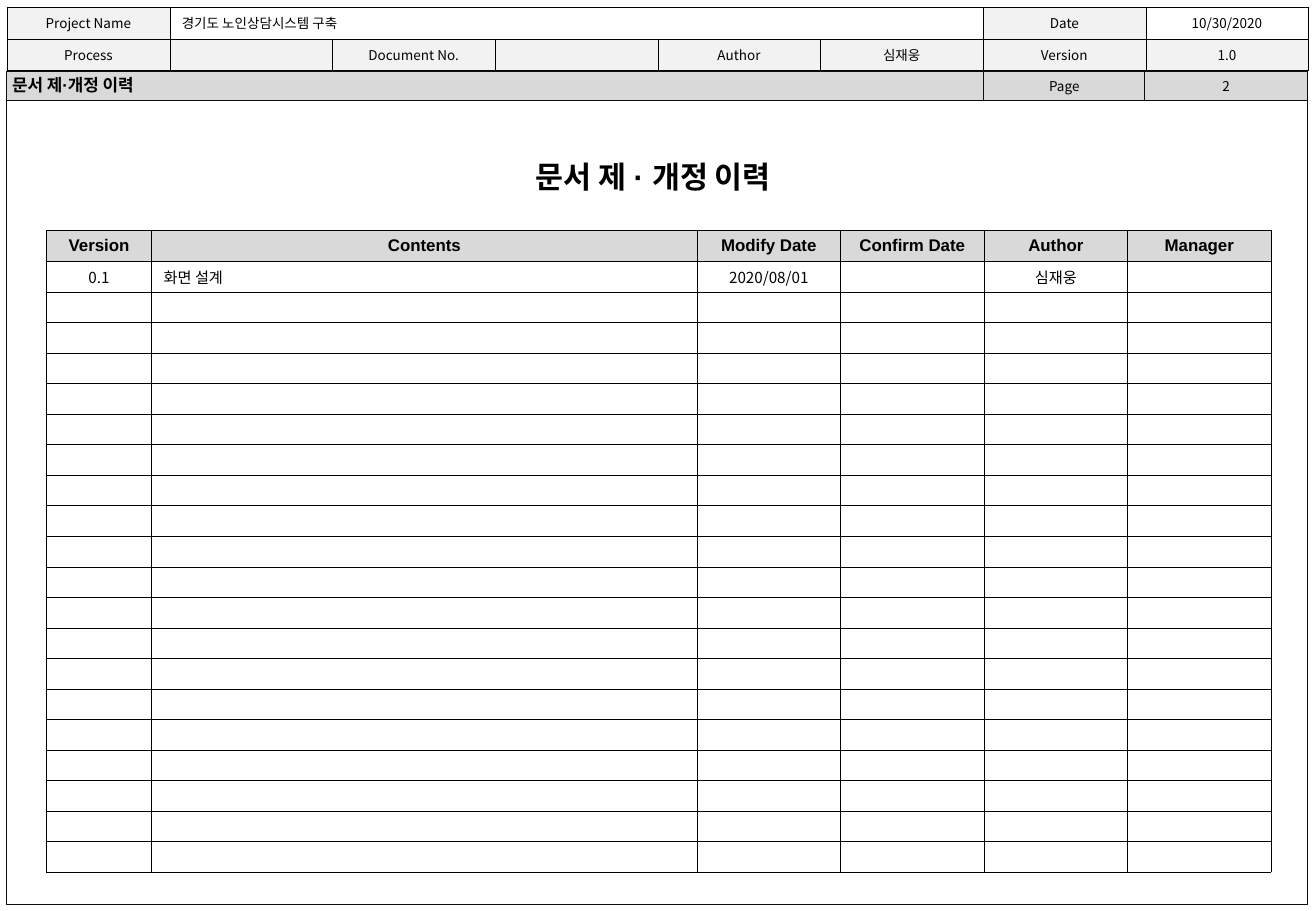
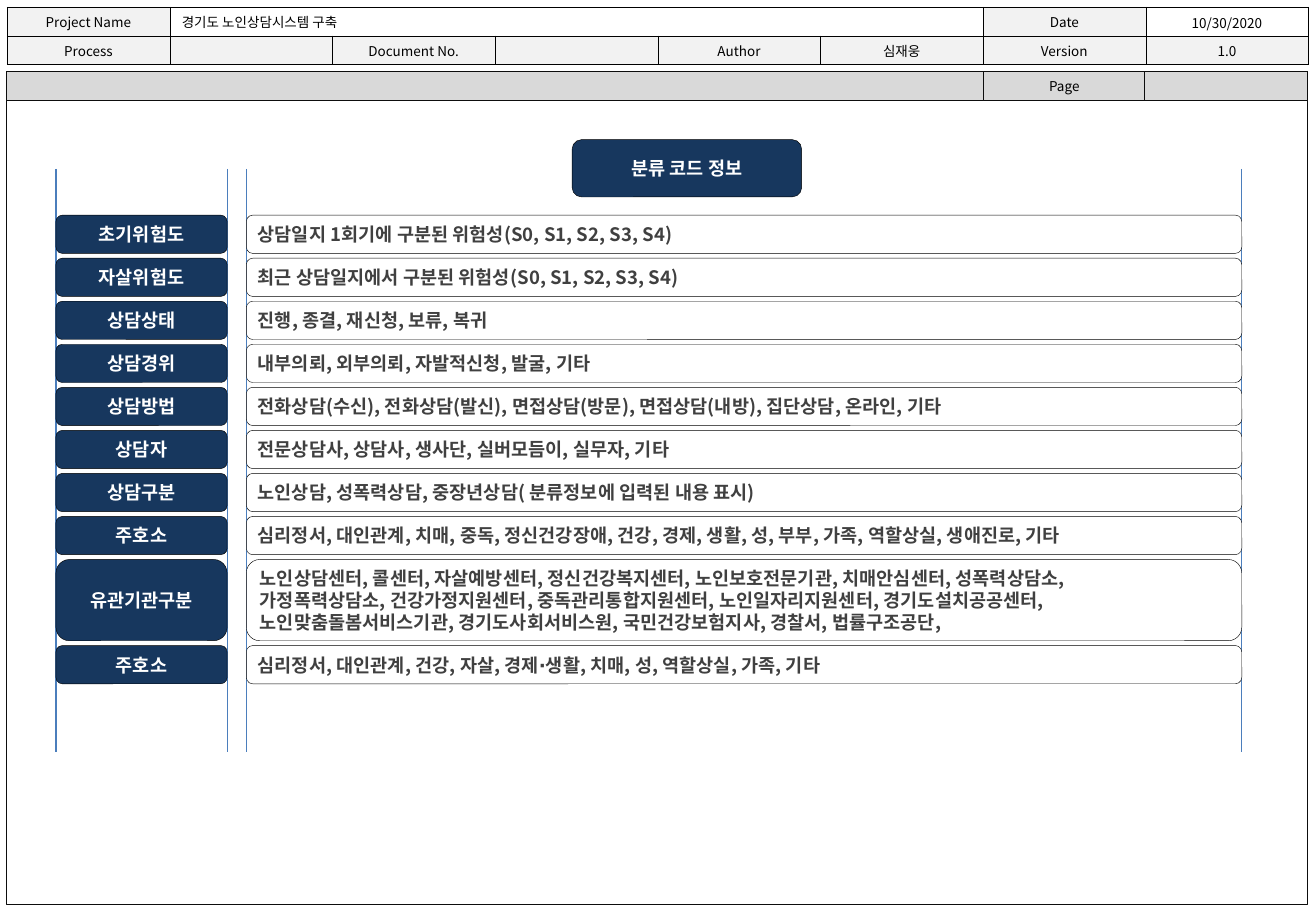
from lxml import etree
from pptx import Presentation
from pptx.dml.color import RGBColor
from pptx.enum.shapes import MSO_CONNECTOR, MSO_SHAPE
from pptx.enum.text import MSO_ANCHOR, PP_ALIGN
from pptx.oxml.ns import qn
from pptx.util import Cm, Pt

LEFT, MID = PP_ALIGN.LEFT, PP_ALIGN.CENTER
CORE = MSO_ANCHOR.MIDDLE
RECT, ROUND = MSO_SHAPE.RECTANGLE, MSO_SHAPE.ROUNDED_RECTANGLE
LINE = MSO_CONNECTOR.STRAIGHT
NOTO, ARIAL = "Noto Sans CJK KR", "Arial"
THIN = Pt(0.25)
HUES = {
    "black": "000000", "frame": "0D0D0D", "band": "D9D9D9", "pale": "F2F2F2",
    "navy": "17375E", "white": "FFFFFF", "text": "404040", "rule": "4B7EBC",
}
RGB = {name: RGBColor.from_string(code) for name, code in HUES.items()}


def ink(frame, text, size, align=MID, face=NOTO, bold=False, hue="black"):
    frame.text = text
    frame.word_wrap = True
    for para in frame.paragraphs:
        para.alignment = align
        if not para.runs:
            etree.SubElement(para._p, qn("a:endParaRPr"), sz=str(size * 100))
        for run in para.runs:
            font = run.font
            font.size, font.name, font.bold = Pt(size), face, bold
            font.color.rgb = RGB[hue]
            etree.SubElement(run._r.get_or_add_rPr(), qn("a:ea"), typeface=NOTO)


def grid(page, left, top, wides, highs, rows, size, shade, head=False):
    table = page.shapes.add_table(
        len(highs), len(wides), Cm(left), Cm(top), sum(wides), sum(highs)).table
    table.first_row = table.horz_banding = False
    for col, wide in zip(table.columns, wides):
        col.width = wide
    for r, high in enumerate(highs):
        table.rows[r].height = high
        for c in range(len(wides)):
            cell = table.cell(r, c)
            text = rows[r][c] if r < len(rows) else ""
            top_row = head and r == 0
            align = LEFT if c == 1 and not top_row else MID
            ink(cell.text_frame, text, size + top_row, align,
                ARIAL if top_row else NOTO, top_row)
            cell.vertical_anchor = CORE
            cell.margin_left = cell.margin_right = Cm(0.25)
            cell.margin_top = cell.margin_bottom = 0
            props = cell._tc.get_or_add_tcPr()
            for side in ("lnL", "lnR", "lnT", "lnB"):
                edge = etree.SubElement(props, qn("a:" + side), w=str(THIN))
                paint = etree.SubElement(edge, qn("a:solidFill"))
                etree.SubElement(paint, qn("a:srgbClr"), val=HUES["black"])
            if (r, c) in shade:
                cell.fill.solid()
                cell.fill.fore_color.rgb = RGB[shade[r, c]]
            else:
                cell.fill.background()
    return table


deck = Presentation()
deck.slide_width, deck.slide_height = Cm(27.51), Cm(19.05)
first = deck.slides.add_slide(deck.slide_layouts[5])
second = deck.slides.add_slide(deck.slide_layouts[6])

info = [
    ["Project Name", "경기도 노인상담시스템 구축", "", "", "", "", "Date", ""],
    ["Process", "", "Document No.", "", "Author", "심재웅", "Version", "1.0"],
]
tint = {(1, c): "pale" for c in range(8)}
tint.update({(0, 0): "pale", (0, 6): "pale"})
bars = [
    (0.13, 27.2, 17.4, None, ""),
    (0.13, 27.2, 0.6, "band", ""),
    (20.55, 3.4, 0.6, "band", "Page"),
    (23.93, 3.4, 0.6, "band", ""),
]
for page, high in ((first, 0.66), (second, 0.6)):
    for left, wide, tall, hue, text in bars:
        bar = page.shapes.add_shape(RECT, Cm(left), Cm(1.5), Cm(wide), Cm(tall))
        bar.shadow.inherit = False
        bar.line.color.rgb, bar.line.width = RGB["frame"], THIN
        if hue:
            bar.fill.solid()
            bar.fill.fore_color.rgb = RGB[hue]
        else:
            bar.fill.background()
        if text:
            ink(bar.text_frame, text, 8)
            bar.text_frame.vertical_anchor = CORE
    table = grid(page, 0.15, 0.15, [Cm(3.4)] * 8, [Cm(high)] * 2, info, 8, tint)
    table.cell(0, 1).merge(table.cell(0, 5))

labels = [
    (first, 23.95, 0.18, 3.4, 0.6, "10/30/2020", 8, NOTO),
    (second, 23.95, 0.18, 3.4, 0.6, "10/30/2020", 8, NOTO),
    (first, 23.93, 1.5, 3.4, 0.6, "2", 8, NOTO),
    (first, 3.86, 2.8, 19.6, 1.27, "문서 제 · 개정 이력", 18, ARIAL),
]
for page, left, top, wide, tall, text, size, face in labels:
    note = page.shapes.add_textbox(Cm(left), Cm(top), Cm(wide), Cm(tall))
    ink(note.text_frame, text, size, face=face, bold=face == ARIAL)
    if face == ARIAL:
        note.text_frame.paragraphs[0].line_spacing = 1.5
    else:
        note.text_frame.vertical_anchor = CORE

title = first.shapes.title
title.left, title.top, title.width, title.height = Cm(0), Cm(1.58), Cm(24.76), Cm(0.4)
ink(title.text_frame, "문서 제·개정 이력", 10, LEFT, ARIAL, True)
title.text_frame.vertical_anchor = CORE
title.text_frame.margin_top = title.text_frame.margin_bottom = 0
first.shapes._spTree.append(title.element)

log = [
    ["Version", "Contents", "Modify Date", "Confirm Date", "Author", "Manager"],
    ["0.1", "화면 설계", "2020/08/01", "", "심재웅", ""],
]
grid(first, 0.97, 4.81, [Cm(2.2), Cm(11.4)] + [Cm(3)] * 4,
     [Cm(0.66)] + [Cm(12.76) // 20] * 20, log, 9,
     {(0, c): "band" for c in range(6)}, True)

for x in (1.17, 4.75, 5.15, 25.96):
    rule = second.shapes.add_connector(LINE, Cm(x), Cm(3.53), Cm(x), Cm(15.72))
    rule.line.color.rgb, rule.line.width = RGB["rule"], Pt(0.75)
    etree.SubElement(rule._element.spPr, qn("a:effectLst"))

codes = [
    ("초기위험도", "상담일지 1회기에 구분된 위험성(S0, S1, S2, S3, S4)"),
    ("자살위험도", "최근 상담일지에서 구분된 위험성(S0, S1, S2, S3, S4)"),
    ("상담상태", "진행, 종결, 재신청, 보류, 복귀"),
    ("상담경위", "내부의뢰, 외부의뢰, 자발적신청, 발굴, 기타"),
    ("상담방법", "전화상담(수신), 전화상담(발신), 면접상담(방문), 면접상담(내방), 집단상담, 온라인, 기타"),
    ("상담자", "전문상담사, 상담사, 생사단, 실버모듬이, 실무자, 기타"),
    ("상담구분", "노인상담, 성폭력상담, 중장년상담( 분류정보에 입력된 내용 표시)"),
    ("주호소", "심리정서, 대인관계, 치매, 중독, 정신건강장애, 건강, 경제, 생활, 성, 부부, 가족, 역할상실, 생애진로, 기타"),
    ("유관기관구분",
     "노인상담센터, 콜센터, 자살예방센터, 정신건강복지센터, 노인보호전문기관, 치매안심센터, 성폭력상담소,\n"
     "가정폭력상담소, 건강가정지원센터, 중독관리통합지원센터, 노인일자리지원센터, 경기도설치공공센터,\n"
     "노인맞춤돌봄서비스기관, 경기도사회서비스원, 국민건강보험지사, 경찰서, 법률구조공단,"),
    ("주호소", "심리정서, 대인관계, 건강, 자살, 경제∙생활, 치매, 성, 역할상실, 가족, 기타"),
]
boxes = [(11.96, 2.92, 4.8, 1.2, "분류 코드 정보", "navy")]
top = 4.5
for name, text in codes:
    tall = 1.7 if "\n" in text else 0.8
    boxes.append((1.17, top, 3.58, tall, name, "navy"))
    boxes.append((5.15, top, 20.81, tall, text, "white"))
    top += tall + 0.1

for left, top, wide, tall, text, hue in boxes:
    box = second.shapes.add_shape(ROUND, Cm(left), Cm(top), Cm(wide), Cm(tall))
    box.shadow.inherit = False
    box.fill.solid()
    box.fill.fore_color.rgb = RGB[hue]
    box.line.color.rgb, box.line.width = RGB["black"], THIN
    frame = box.text_frame
    dark = hue == "navy"
    ink(frame, text, 11, MID if dark else LEFT, bold=True, hue="white" if dark else "text")
    frame.vertical_anchor = CORE
    frame.margin_left = frame.margin_right = Cm(0.2)
    frame.margin_top = frame.margin_bottom = Cm(0.13)
    if "\n" in text:
        for para in frame.paragraphs:
            para.line_spacing = Pt(13)

deck.save("out.pptx")
